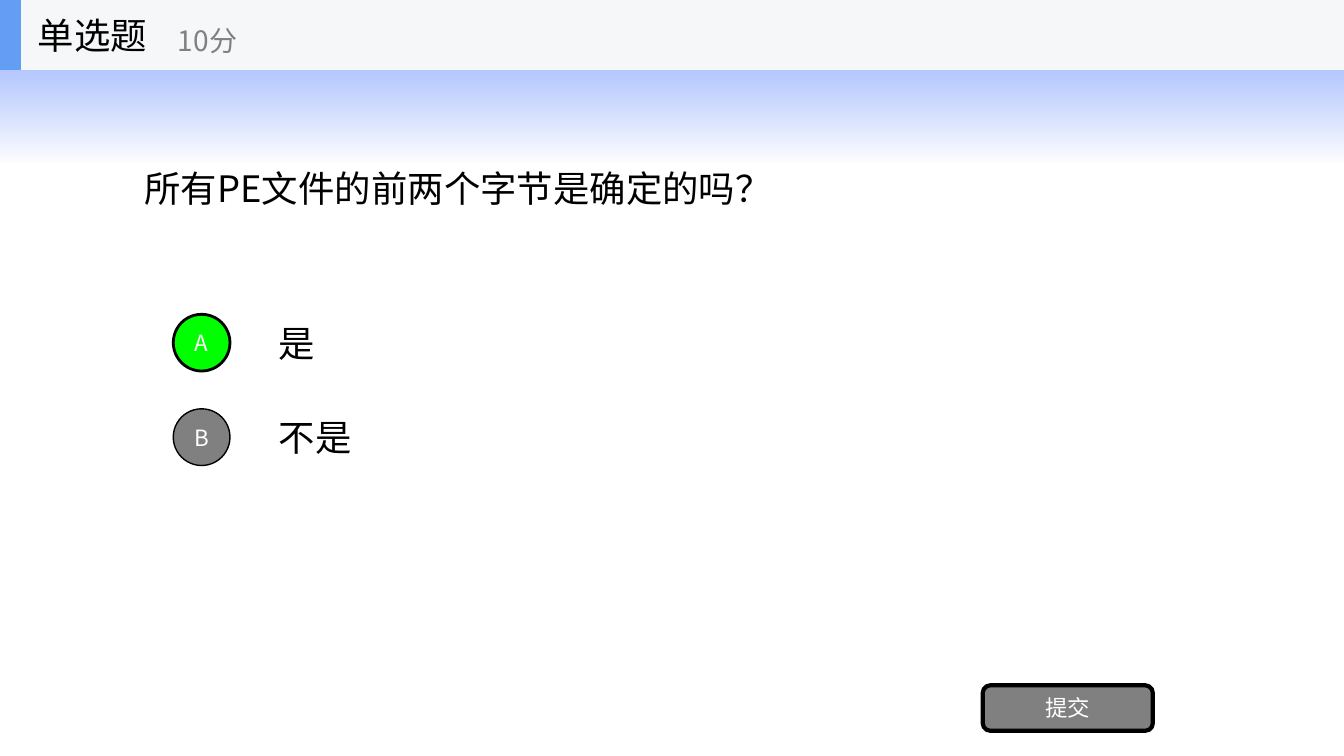
from lxml.etree import SubElement
from pptx import Presentation
from pptx.dml.color import RGBColor
from pptx.enum.lang import MSO_LANGUAGE_ID
from pptx.enum.shapes import MSO_SHAPE
from pptx.enum.text import MSO_ANCHOR, MSO_AUTO_SIZE, PP_ALIGN
from pptx.oxml.ns import qn
from pptx.util import Pt

FONT = "Noto Sans CJK SC"
HUES = {
    "black": "000000", "white": "FFFFFF", "grey": "808080", "green": "00FF00",
    "blue": "3366FF", "bar": "F6F7F8", "mark": "639EF4",
}


def write(shape, text, size=26, hue="black", align=PP_ALIGN.LEFT):
    frame = shape.text_frame
    frame.auto_size = MSO_AUTO_SIZE.NONE
    frame.word_wrap = True
    frame.vertical_anchor = MSO_ANCHOR.MIDDLE
    par = frame.paragraphs[0]
    par.alignment = align
    run = par.add_run()
    run.text = text
    font = run.font
    font.size = Pt(size)
    font.name = FONT
    font.language_id = MSO_LANGUAGE_ID.SIMPLIFIED_CHINESE
    font.color.rgb = RGBColor.from_string(HUES[hue])
    SubElement(run._r.rPr, qn("a:ea"), typeface=FONT)


def draw(kind, box, hue, line=0):
    shape = slide.shapes.add_shape(kind, *map(Pt, box))
    shape.shadow.inherit = False
    shape.fill.solid()
    shape.fill.fore_color.rgb = RGBColor.from_string(HUES[hue])
    if line:
        shape.line.color.rgb = RGBColor.from_string(HUES["black"])
        shape.line.width = Pt(line)
    else:
        shape.line.fill.background()
    return shape


deck = Presentation()
deck.slide_width, deck.slide_height = Pt(960), Pt(540)
slide = deck.slides.add_slide(deck.slide_layouts[5])
shapes = slide.shapes

band = draw(MSO_SHAPE.RECTANGLE, (0, 0, 960, 116.5), "white")
band.fill.gradient()
band.fill.gradient_angle = 270
for stop, hue, place, alpha in zip(
    band.fill.gradient_stops, ("blue", "white"), (0, 1), (60, 70)
):
    stop.color.rgb = RGBColor.from_string(HUES[hue])
    stop.position = place
    tint = stop._gs.find(qn("a:srgbClr"))
    SubElement(tint, qn("a:alpha"), val=str(alpha * 1000))
shapes._spTree.insert(2, band._element)

title = shapes.title
title.left, title.top, title.width, title.height = map(Pt, (96, 50, 768, 168.5))
write(title, "所有PE文件的前两个字节是确定的吗？")

options = [("A", "是", "green", 2), ("B", "不是", "grey", 1)]
for row, (mark, text, hue, line) in enumerate(options):
    top = 219.5 + row * 67.5
    label = shapes.add_textbox(Pt(192), Pt(top), Pt(672), Pt(50.5))
    write(label, text)
    disc = draw(MSO_SHAPE.OVAL, (123.75, top + 5, 40.5, 40.5), hue, line)
    write(disc, mark, size=16, hue="white", align=PP_ALIGN.CENTER)

button = draw(MSO_SHAPE.ROUNDED_RECTANGLE, (702, 489.5, 121.5, 32.5), "grey", 3)
write(button, "提交", size=16, hue="white", align=PP_ALIGN.CENTER)

draw(MSO_SHAPE.RECTANGLE, (0, 0, 960, 50), "bar")
draw(MSO_SHAPE.RECTANGLE, (0, 0, 15, 50), "mark")
kind = shapes.add_textbox(Pt(20), Pt(0), Pt(150), Pt(50))
write(kind, "单选题")
score = shapes.add_textbox(Pt(120), Pt(9), Pt(180), Pt(40))
write(score, "10分", size=20, hue="grey")

deck.save("out.pptx")
